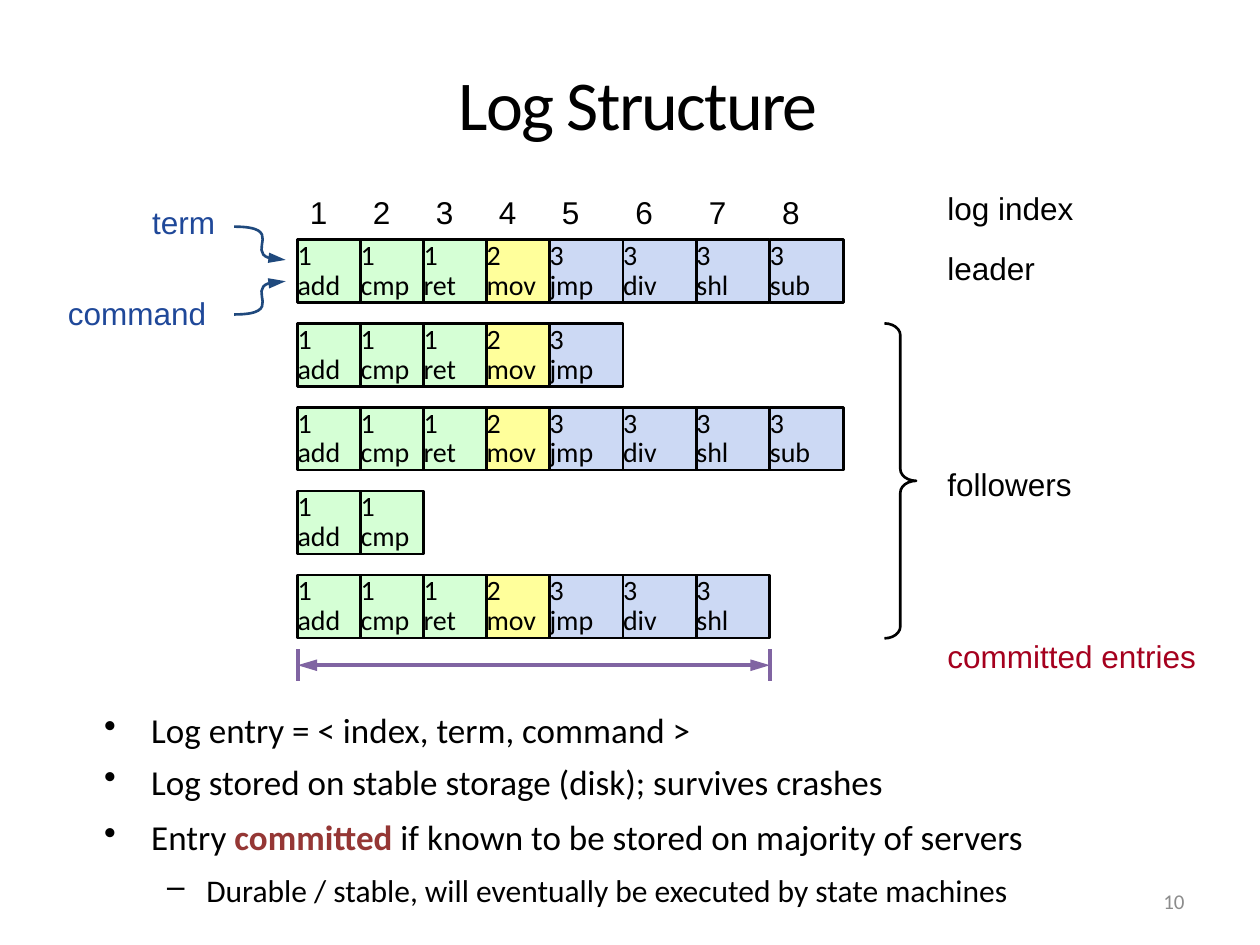
from lxml import etree
from pptx import Presentation
from pptx.dml.color import RGBColor
from pptx.enum.shapes import MSO_CONNECTOR, MSO_SHAPE
from pptx.enum.text import MSO_ANCHOR, MSO_AUTO_SIZE, PP_ALIGN
from pptx.oxml.ns import qn
from pptx.util import Cm, Pt

RECT, BRACE = MSO_SHAPE.RECTANGLE, MSO_SHAPE.RIGHT_BRACE
STRAIGHT = MSO_CONNECTOR.STRAIGHT
TOP, MIDDLE, BOTTOM = MSO_ANCHOR.TOP, MSO_ANCHOR.MIDDLE, MSO_ANCHOR.BOTTOM
LEFT, CENTER, RIGHT = PP_ALIGN.LEFT, PP_ALIGN.CENTER, PP_ALIGN.RIGHT
GROW = MSO_AUTO_SIZE.SHAPE_TO_FIT_TEXT

BLACK = RGBColor(0x00, 0x00, 0x00)
GREEN = RGBColor(0xD5, 0xFF, 0xD5)
YELLOW = RGBColor(0xFF, 0xFF, 0x9B)
BLUE = RGBColor(0xCC, 0xD9, 0xF4)
PURPLE = RGBColor(0x80, 0x64, 0xA2)
CRIMSON = RGBColor(0xA5, 0x00, 0x1E)
BRICK = RGBColor(0x95, 0x37, 0x35)
ROYAL = RGBColor(0x1F, 0x48, 0x99)
NAVY = RGBColor(0x1F, 0x49, 0x7D)
GRAY = RGBColor(0x8C, 0x8C, 0x8C)

TERM_FILLS = {1: GREEN, 2: YELLOW, 3: BLUE}
ENTRIES = [(1, "add"), (1, "cmp"), (1, "ret"), (2, "mov"),
           (3, "jmp"), (3, "div"), (3, "shl"), (3, "sub")]
LOG_LENGTHS = [8, 5, 8, 2, 7]
WIDTHS = [1.27] * 4 + [1.48] * 4
CELL_H, ROW_STEP = 1.27, 1.69


def set_font(font, size, color, name):
    font.size, font.name = Pt(size), name
    font.color.rgb = color


def no_insets(tf):
    tf.margin_left = tf.margin_right = tf.margin_top = tf.margin_bottom = 0


def add_text(s, text, x, y, w, h, size=18, color=BLACK, name="Arial",
             align=LEFT, anchor=TOP):
    tf = s.shapes.add_textbox(Cm(x), Cm(y), Cm(w), Cm(h)).text_frame
    tf.word_wrap, tf.vertical_anchor = True, anchor
    p = tf.paragraphs[0]
    p.text, p.alignment = text, align
    set_font(p.font, size, color, name)
    return tf


def add_label(s, text, x, y, w, color=BLACK):
    tf = add_text(s, text, x, y, w, 0.86, color=color)
    no_insets(tf)
    tf.word_wrap, tf.auto_size = False, GROW


def add_arrowheads(sp, *ends):
    ln = sp.line._get_or_add_ln()
    for end in ends:
        etree.SubElement(ln, qn("a:" + end), type="triangle", w="med", len="lg")


def add_line(s, x1, y1, x2, y2):
    line = s.shapes.add_connector(STRAIGHT, Cm(x1), Cm(y1), Cm(x2), Cm(y2))
    line.line.color.rgb, line.line.width = PURPLE, Pt(2.25)
    etree.SubElement(line._element.spPr, qn("a:effectLst"))
    return line


def add_curve(s, x, y, w, h):
    fb = s.shapes.build_freeform(Cm(x), Cm(y))
    fb.add_line_segments([(Cm(x + w), Cm(y)), (Cm(x), Cm(y + h)),
                          (Cm(x + w), Cm(y + h))], close=False)
    sp = fb.convert_to_shape()
    sp.shadow.inherit = False
    sp.fill.background()
    sp.line.color.rgb, sp.line.width = NAVY, Pt(1.5)
    outline = sp._element.find(".//" + qn("a:path"))
    bezier = etree.SubElement(outline, qn("a:cubicBezTo"))
    for segment in outline.findall(qn("a:lnTo")):
        bezier.append(segment[0])
        outline.remove(segment)
    add_arrowheads(sp, "tailEnd")


def add_cell(s, term, command, x, y, w):
    sp = s.shapes.add_shape(RECT, Cm(x), Cm(y), Cm(w), Cm(CELL_H))
    sp.shadow.inherit = False
    sp.fill.solid()
    sp.fill.fore_color.rgb = TERM_FILLS[term]
    sp.line.color.rgb, sp.line.width = BLACK, Pt(1.5)
    tf = sp.text_frame
    no_insets(tf)
    tf.vertical_anchor = MIDDLE
    p = tf.paragraphs[0]
    p.text, p.alignment, p.line_spacing = f"{term}\v{command}", LEFT, Pt(17)
    set_font(p.font, 16, BLACK, "Calibri")


def add_title(s, x, y, w, h):
    tf = add_text(s, "Log Structure", x, y, w, h, 40, BLACK, "Calibri", CENTER, BOTTOM)
    p = tf.paragraphs[0]
    p.line_spacing = 0.8
    p.runs[0].font._element.set("spc", "-100")


def add_logs(s, x, y):
    lefts = [x + sum(WIDTHS[:i]) for i in range(len(WIDTHS))]
    for i, (left, w) in enumerate(zip(lefts, WIDTHS)):
        add_text(s, str(i + 1), left, y - 1.07, w, 1.02)
    for row, length in enumerate(LOG_LENGTHS):
        for (term, command), left, w in zip(ENTRIES[:length], lefts, WIDTHS):
            add_cell(s, term, command, left, y + row * ROW_STEP, w)
    add_committed_span(s, x, y + 8.26, lefts[7] - x, 0.64)


def add_committed_span(s, x, y, w, h):
    for end in (x, x + w):
        add_line(s, end, y, end, y + h)
    arrow = add_line(s, x, y + h / 2, x + w, y + h / 2)
    add_arrowheads(arrow, "headEnd", "tailEnd")


def add_entry_callouts(s, x, y):
    add_label(s, "term", x + 1.7, y, 1.42, ROYAL)
    add_label(s, "command", x, y + 1.83, 3.12, ROYAL)
    add_curve(s, x + 3.35, y + 0.48, 1.04, 0.67)
    add_curve(s, x + 3.35, y + 2.25, 1.04, -0.67)


def add_side_labels(s, x, y):
    for text, dy, w, color in [("log index", 0, 2.84, BLACK),
                               ("leader", 1.22, 1.98, BLACK),
                               ("followers", 5.56, 2.82, BLACK),
                               ("committed entries", 9.04, 5.61, CRIMSON)]:
        add_label(s, text, x, y + dy, w, color)
    brace = s.shapes.add_shape(BRACE, Cm(x - 1.27), Cm(y + 2.71), Cm(0.64), Cm(6.35))
    brace.shadow.inherit = False
    brace.adjustments[0], brace.adjustments[1] = 0.372, 0.5
    brace.fill.background()
    brace.line.color.rgb, brace.line.width = BLACK, Pt(1.5)


def add_bullets(s, x, y, w, h):
    tf = s.shapes.add_textbox(Cm(x), Cm(y), Cm(w), Cm(h)).text_frame
    tf.word_wrap = True
    bullets = [
        (["Log entry = < index, term, command >"], 0, 4, 4),
        (["Log stored on stable storage (disk); survives crashes"], 0, 4, 4),
        (["Entry ", "committed ", "if known to be stored on majority of servers"], 0, 6, 8),
        (["Durable / stable, will eventually be executed by state machines"], 1, 3, 8),
    ]
    styles = [("•", 20, 0.95, 0.95, 0.9), ("–", 18, 2.06, 0.79, 0.85)]
    for i, (parts, level, before, after) in enumerate(bullets):
        char, size, margin, hang, spacing = styles[level]
        p = tf.paragraphs[0] if i == 0 else tf.add_paragraph()
        p.level, p.line_spacing = level, spacing
        p.space_before, p.space_after = Pt(before), Pt(after)
        set_font(p.font, size, BLACK, "Calibri")
        for part in parts:
            r = p.add_run()
            r.text = part
            if part == "committed ":
                r.font.bold = True
                r.font.color.rgb = BRICK
        pPr = p._p.get_or_add_pPr()
        pPr.set("marL", str(Cm(margin)))
        pPr.set("indent", str(-Cm(hang)))
        bullet = etree.Element(qn("a:buChar"), char=char)
        pPr.find(qn("a:defRPr")).addprevious(bullet)


prs = Presentation()
prs.slide_width, prs.slide_height = Cm(25.4), Cm(19.05)
s = prs.slides.add_slide(prs.slide_layouts[6])
add_title(s, 0.97, 0.05, 23.8, 2.97)
add_logs(s, 6, 4.83)
add_side_labels(s, 19.1, 3.81)
add_entry_callouts(s, 1.37, 4.09)
add_bullets(s, 1.85, 14.25, 22.86, 4.39)
add_text(s, "10", 18.21, 17.65, 5.92, 1.02, 12, GRAY, "Calibri", RIGHT, MIDDLE)
prs.save("out.pptx")
